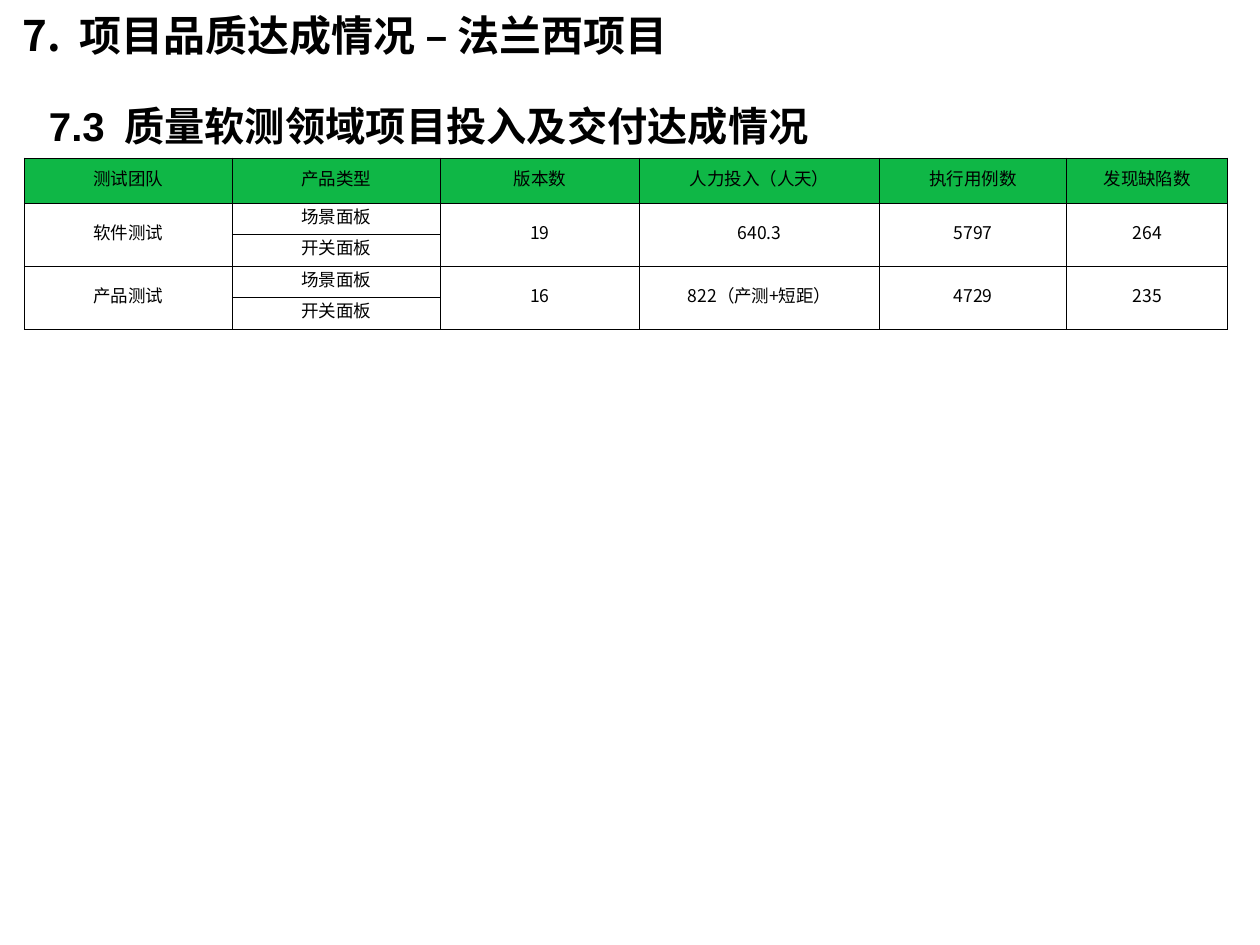
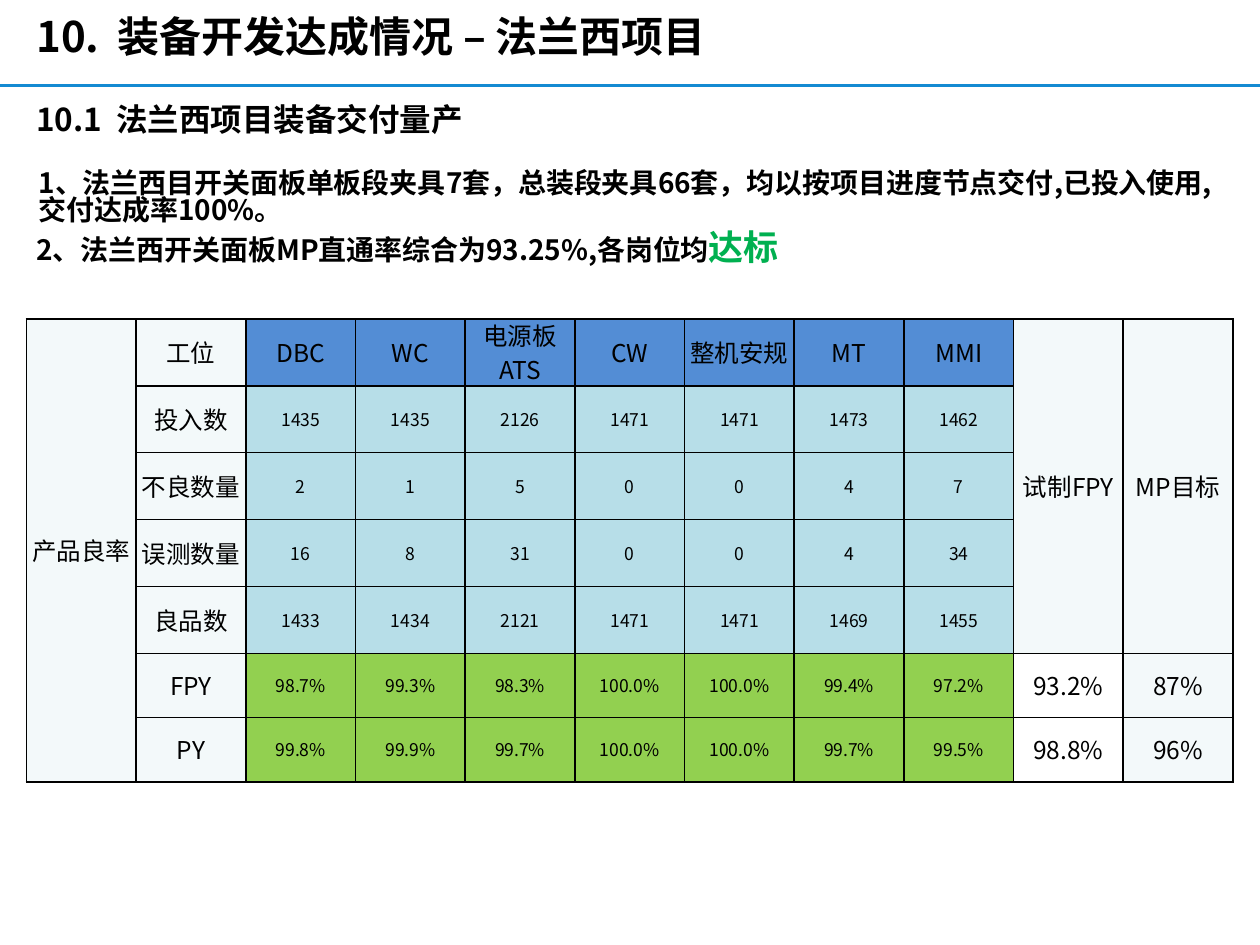
from dataclasses import dataclass

from lxml.etree import SubElement
from pptx import Presentation
from pptx.dml.color import RGBColor
from pptx.enum.shapes import MSO_CONNECTOR
from pptx.enum.text import MSO_ANCHOR, PP_ALIGN
from pptx.oxml.ns import qn
from pptx.util import Pt


@dataclass(frozen=True)
class Theme:
    # Colours
    black: str = "000000"
    white: str = "FFFFFF"
    rule: str = "148AD2"
    success: str = "00B050"
    team_header: str = "0FB746"
    label: str = "F3F9FA"
    station: str = "538DD5"
    count: str = "B7DEE8"
    rate: str = "92D050"
    # Fonts and type sizes
    font: str = "Noto Sans CJK SC"
    latin: str = "Arial"
    title: int = 24
    subtitle: int = 23
    section: int = 18
    highlight: int = 20
    body: int = 16
    table_label: int = 14
    table_value: int = 10
    # Line spacing
    heading_spacing: float = 0.9
    body_spacing: float = 0.8
    table_spacing: float = 0.94


THEME = Theme()


def set_attributes(target, values):
    for name, value in values.items():
        setattr(target, name, value)


class SlideBuilder:
    def __init__(self, presentation, theme):
        self.presentation = presentation
        self.theme = theme
        self.slide = None

    def new_slide(self):
        self.slide = self.presentation.slides.add_slide(self.presentation.slide_layouts[6])

    def run(self, paragraph, text, size, bold=False, color=None, font=None):
        run = paragraph.add_run()
        run.text = text
        font = font or self.theme.font
        set_attributes(run.font, {"name": font, "size": Pt(size), "bold": bold})
        run.font.color.rgb = RGBColor.from_string(color or self.theme.black)
        SubElement(run.font._element, qn("a:ea"), typeface=self.theme.font)

    def text(self, box, runs, spacing, tab=None, wrap=True):
        """Add a bold paragraph; each run is (text, size, optional format)."""
        shape = self.slide.shapes.add_textbox(*map(Pt, box))
        shape.text_frame.word_wrap = wrap
        paragraph = shape.text_frame.paragraphs[0]
        paragraph.line_spacing = spacing
        if tab:
            tabs = SubElement(paragraph._p.get_or_add_pPr(), qn("a:tabLst"))
            SubElement(tabs, qn("a:tab"), pos=str(Pt(tab)), algn="l")
        for text, size, *options in runs:
            self.run(paragraph, text, size, bold=True, **(options[0] if options else {}))

    def heading(self, box, number, text, size, tab, font=None, wrap=True):
        self.text(box, [(f"{number}\t{text}", size, {"font": font})],
                  self.theme.heading_spacing, tab, wrap)

    def rule(self, top):
        width = self.presentation.slide_width
        line = self.slide.shapes.add_connector(MSO_CONNECTOR.STRAIGHT, 0, Pt(top), width, Pt(top))
        line.line.color.rgb = RGBColor.from_string(self.theme.rule)
        line.line.width = Pt(2)
        SubElement(line._element.spPr, qn("a:effectLst"))

    def borders(self, cell, width):
        properties = cell._tc.get_or_add_tcPr()
        for side in ("lnL", "lnR", "lnT", "lnB"):
            line = SubElement(properties, qn(f"a:{side}"), w=str(Pt(width)))
            fill = SubElement(line, qn("a:solidFill"))
            SubElement(fill, qn("a:srgbClr"), val=self.theme.black)

    def table(self, left, top, widths, heights, rows, style, spans, border, insets):
        """Fill a grid; style(row, column) gives the fill and the type size."""
        frame = self.slide.shapes.add_table(len(heights), len(widths), Pt(left), Pt(top),
                                            Pt(sum(widths)), Pt(sum(heights)))
        table = frame.table
        set_attributes(table, {"first_row": False, "horz_banding": False})
        for column, width in zip(table.columns, widths):
            column.width = Pt(width)
        for row, height in zip(table.rows, heights):
            row.height = Pt(height)
        cell_format = {f"margin_{side}": Pt(inset) for side, inset in insets.items()}
        cell_format["vertical_anchor"] = MSO_ANCHOR.MIDDLE
        for row_index, row in enumerate(rows):
            for column_index, text in enumerate(row):
                cell = table.cell(row_index, column_index)
                fill, size = style(row_index, column_index)
                set_attributes(cell, cell_format)
                self.borders(cell, border)
                cell.fill.solid()
                cell.fill.fore_color.rgb = RGBColor.from_string(fill)
                paragraph = cell.text_frame.paragraphs[0]
                set_attributes(paragraph, {"alignment": PP_ALIGN.CENTER,
                                           "line_spacing": self.theme.table_spacing})
                if text:
                    self.run(paragraph, text, size)
                else:
                    paragraph.font.size = Pt(size)
        for first_row, last_row, column in spans:
            table.cell(first_row, column).merge(table.cell(last_row, column))


def build_quality_slide(builder):
    theme = builder.theme
    builder.new_slide()

    # Headings
    builder.heading((20.9, 57.6, 470, 35.3), "7.3", "质量软测领域项目投入及交付达成情况",
                    theme.subtitle, tab=43, font=theme.latin)
    builder.heading((5.8, 5, 447.8, 36.7), "7.", "项目品质达成情况 – 法兰西项目",
                    theme.title, tab=32.8)

    # Test team results
    rows = [
        ("测试团队", "产品类型", "版本数", "人力投入（人天）", "执行用例数", "发现缺陷数"),
        ("软件测试", "场景面板", "19", "640.3", "5797", "264"),
        ("", "开关面板", "", "", "", ""),
        ("产品测试", "场景面板", "16", "822（产测+短距）", "4729", "235"),
        ("", "开关面板", "", "", "", ""),
    ]

    def style(row, column):
        return theme.white if row else theme.team_header, theme.table_value

    spans = [(row, row + 1, column) for row in (1, 3) for column in (0, 2, 3, 4, 5)]
    builder.table(13.9, 90.3, [118.8, 118.8, 114, 137.2, 106.8, 92.2], [25.8] + [18] * 4,
                  rows, style, spans, border=0.5,
                  insets={"left": 0.7, "right": 0.7, "top": 0.7, "bottom": 3.6})


def build_equipment_slide(builder):
    theme = builder.theme
    builder.new_slide()

    # Headings
    builder.heading((13.7, 5.8, 401, 36), "10.", "装备开发达成情况 – 法兰西项目",
                    theme.title, tab=46.5, wrap=False)
    builder.rule(49)
    builder.heading((13.7, 56.2, 341.3, 28.8), "10.1", "法兰西项目装备交付量产",
                    theme.section, tab=45.7)

    # Delivery statements
    builder.text((15, 95, 690, 46), [
        ("1、法兰西目开关面板单板段夹具7套，总装段夹具66套，均以按项目进度节点交付,"
         "已投入使用,交付达成率100%。", theme.body)], theme.body_spacing)
    builder.text((13.7, 128.2, 467.3, 31.7), [
        ("2、法兰西开关面板MP直通率综合为93.25%,各岗位均", theme.body),
        ("达标", theme.highlight, {"color": theme.success})], theme.heading_spacing)

    # Yield by station
    rows = [
        ("产品良率", "工位", "DBC", "WC", "电源板ATS", "CW", "整机安规", "MT", "MMI",
         "试制FPY", "MP目标"),
        ("", "投入数", "1435", "1435", "2126", "1471", "1471", "1473", "1462", "", ""),
        ("", "不良数量", "2", "1", "5", "0", "0", "4", "7", "", ""),
        ("", "误测数量", "16", "8", "31", "0", "0", "4", "34", "", ""),
        ("", "良品数", "1433", "1434", "2121", "1471", "1471", "1469", "1455", "", ""),
        ("", "FPY", "98.7%", "99.3%", "98.3%", "100.0%", "100.0%", "99.4%", "97.2%",
         "93.2%", "87%"),
        ("", "PY", "99.8%", "99.9%", "99.7%", "100.0%", "100.0%", "99.7%", "99.5%",
         "98.8%", "96%"),
    ]

    def style(row, column):
        if column == 9 and row >= 5:
            return theme.white, theme.table_label
        if column < 2 or column > 8:
            return theme.label, theme.table_label
        if row == 0:
            return theme.station, theme.table_label
        return theme.count if row < 5 else theme.rate, theme.table_value

    builder.table(15.1, 182.2, [62.7] * 11, [38.25] * 5 + [36.7] * 2, rows, style,
                  [(0, 6, 0), (0, 4, 9), (0, 4, 10)], border=1,
                  insets=dict.fromkeys(("left", "right", "top", "bottom"), 0))


def main():
    presentation = Presentation()
    set_attributes(presentation, {"slide_width": Pt(720), "slide_height": Pt(540)})
    builder = SlideBuilder(presentation, THEME)
    build_quality_slide(builder)
    build_equipment_slide(builder)
    presentation.save("out.pptx")


if __name__ == "__main__":
    main()
